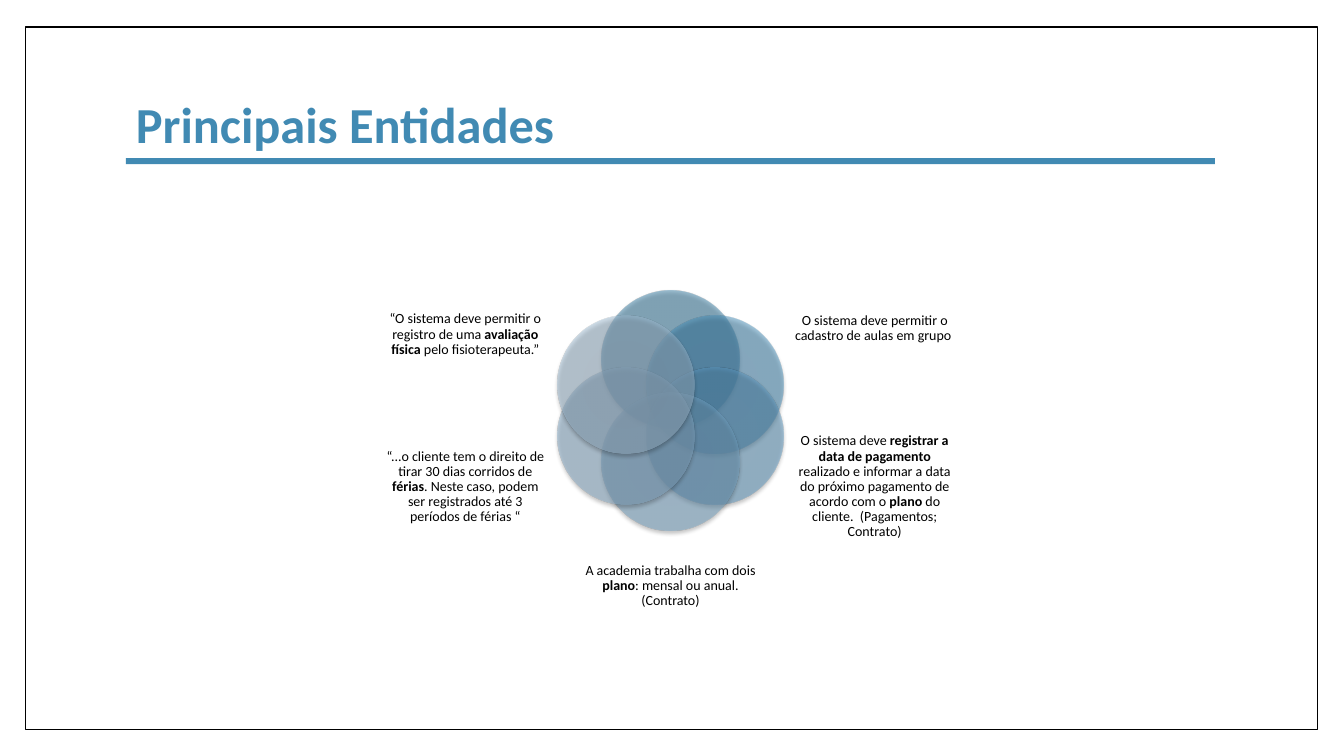
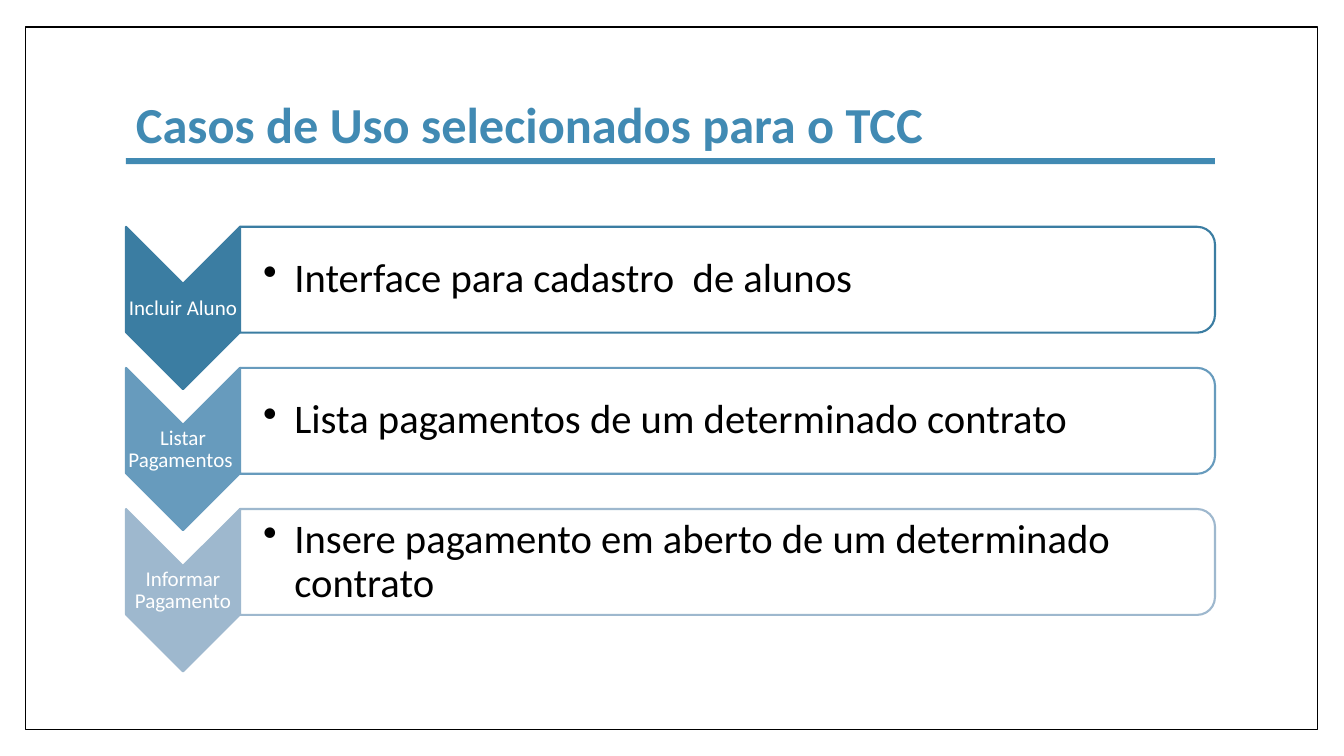
from dataclasses import dataclass
from math import cos, radians, sin

from pptx import Presentation
from pptx.dml.color import RGBColor
from pptx.enum.shapes import MSO_SHAPE as Preset
from pptx.enum.text import MSO_ANCHOR as Anchor, PP_ALIGN as Align
from pptx.oxml import parse_xml
from pptx.oxml.ns import nsdecls, qn
from pptx.util import Inches, Pt


@dataclass(frozen=True)
class Theme:
    """Colours, font and type sizes shared by all slides."""
    font: str = "Calibri"
    accent: str = "418AB3"
    ink: str = "000000"
    paper: str = "FFFFFF"
    title_size: int = 36
    note_size: int = 10
    step_size: int = 15
    detail_size: int = 29


THEME = Theme()
PETAL_COLOURS = [
    ("3B7DA2", "387EA5", "2C749D"),
    ("468AB4", "438BB7", "3680AD"),
    ("5C95BB", "5996BD", "4B89B2"),
    ("73A0C0", "71A1C2", "6193B6"),
    ("89ACC7", "87ACC8", "779DBA"),
    ("9EB8CE", "9DB9CF", "8BA8BF"),
]
NOTES = [
    ((7.87, 2.75, 1.61, 1.02), "O sistema deve permitir o cadastro de aulas em grupo "),
    ((7.87, 4.26, 1.61, 1.14),
     "O sistema deve *registrar a data de pagamento *realizado e informar a data do "
     "próximo pagamento de acordo com o *plano* do cliente.  (Pagamentos; Contrato)"),
    ((5.8, 5.35, 1.7, 0.93),
     "A academia trabalha com dois *plano*: mensal ou anual. (Contrato)"),
    ((3.81, 4.26, 1.61, 1.14),
     "“...o cliente tem o direito de tirar 30 dias corridos de *férias*. Neste caso, "
     "podem ser registrados até 3 períodos de férias “"),
    ((3.81, 2.75, 1.61, 1.14),
     "“O sistema deve permitir o registro de uma *avaliação física* pelo fisioterapeuta.”"),
]
USE_CASES = [
    ("Incluir Aluno", "Interface para cadastro  de alunos", "3B7DA2"),
    ("Listar Pagamentos ", "Lista pagamentos de um determinado contrato", "679BBD"),
    ("Informar Pagamento", "Insere pagamento em aberto de um determinado contrato", "9EB8CE"),
]


def add_box(page, preset, bounds, fill=None, line=None, width=1):
    """Add a preset shape without shadow, with optional fill and outline."""
    box = page.shapes.add_shape(preset, *map(Inches, bounds))
    box.shadow.inherit = False
    if fill:
        box.fill.solid()
        box.fill.fore_color.rgb = RGBColor.from_string(fill)
    else:
        box.fill.background()
    if line:
        box.line.color.rgb = RGBColor.from_string(line)
        box.line.width = Pt(width)
    else:
        box.line.fill.background()
    return box


def add_turned_box(page, preset, bounds, fill, line):
    """Add a shape turned a quarter clockwise that covers the given bounds."""
    left, top, width, height = bounds
    shift = (width - height) / 2
    box = add_box(page, preset, (left + shift, top - shift, height, width), fill, line, 1.5)
    box.rotation = 90
    return box


def set_text(box, text, size, colour, align=Align.CENTER, spacing=0.9,
             bold=False, insets=(0, 0, 0, 0), bullet_indent=None):
    """Write one paragraph in a box; parts between asterisks are bold."""
    frame = box.text_frame
    frame.word_wrap = True
    frame.vertical_anchor = Anchor.MIDDLE
    (frame.margin_left, frame.margin_top,
     frame.margin_right, frame.margin_bottom) = map(Inches, insets)
    para = frame.paragraphs[0]
    para.alignment = align
    para.line_spacing = spacing
    if bullet_indent:
        properties = para._p.get_or_add_pPr()
        properties.set("marL", str(Inches(bullet_indent)))
        properties.set("indent", str(-Inches(bullet_indent)))
        properties.append(parse_xml(f'<a:buChar {nsdecls("a")} char="•"/>'))
    font = para.font
    font.name, font.size, font.bold = THEME.font, Pt(size), bold
    font.color.rgb = RGBColor.from_string(colour)
    for index, part in enumerate(text.split("*")):
        span = para.add_run()
        span.text = part
        if index % 2:
            span.font.bold = True


def add_label(page, bounds, text, size, colour, **options):
    """Add a text box with one paragraph."""
    box = page.shapes.add_textbox(*map(Inches, bounds))
    set_text(box, text, size, colour, **options)


def add_page(deck, title):
    """Add a blank slide with the frame, the title and its rule."""
    page = deck.slides.add_slide(deck.slide_layouts[6])
    add_box(page, Preset.RECTANGLE, (0.25, 0.27, 12.82, 6.97), THEME.paper, THEME.ink)
    heading = add_box(page, Preset.RECTANGLE, (1.25, 0.67, 10.8, 1.04), THEME.paper)
    set_text(heading, title, THEME.title_size, THEME.accent, align=Align.LEFT,
             spacing=1.1, bold=True, insets=(0.1, 0.05, 0.1, 0.05))
    add_box(page, Preset.RECTANGLE, (1.25, 1.57, 10.8, 0.06), THEME.accent)
    return page


def add_petal(page, bounds, colours):
    """Add a translucent circle with a radial gradient and a soft shadow."""
    petal = add_box(page, Preset.OVAL, bounds)
    stops = "".join(
        f'<a:gs pos="{place * 1000}"><a:srgbClr val="{colour}">'
        '<a:alpha val="50000"/></a:srgbClr></a:gs>'
        for place, colour in zip((0, 90, 100), colours))
    gradient = parse_xml(
        f'<a:gradFill {nsdecls("a")} rotWithShape="1"><a:gsLst>{stops}</a:gsLst>'
        '<a:path path="circle"><a:fillToRect l="100000" t="100000" r="100000" b="100000"/>'
        '</a:path></a:gradFill>')
    properties = petal._element.spPr
    properties.replace(properties.find(qn("a:noFill")), gradient)
    properties.find(qn("a:effectLst")).append(parse_xml(
        f'<a:outerShdw {nsdecls("a")} blurRad="{Pt(3)}" dist="{Pt(2)}" dir="5400000" '
        f'rotWithShape="0"><a:srgbClr val="{THEME.ink}"><a:alpha val="45000"/>'
        '</a:srgbClr></a:outerShdw>'))


def add_flower(page, centre_x, centre_y, orbit, diameter):
    """Place the petals clockwise from the top at equal angles."""
    for index, colours in enumerate(PETAL_COLOURS):
        angle = radians(index * 360 / len(PETAL_COLOURS))
        left = centre_x + orbit * sin(angle) - diameter / 2
        top = centre_y - orbit * cos(angle) - diameter / 2
        add_petal(page, (left, top, diameter, diameter), colours)


def add_use_case(page, top, name, detail, colour):
    """Add one chevron step with its detail panel."""
    add_turned_box(page, Preset.CHEVRON, (1.25, top, 1.13, 1.61), colour, colour)
    add_label(page, (1.25, top + 0.57, 1.13, 0.48), name, THEME.step_size, THEME.paper,
              insets=(0.01,) * 4)
    add_turned_box(page, Preset.ROUND_2_SAME_RECTANGLE, (2.38, top, 9.67, 1.05),
                   THEME.paper, colour)
    add_label(page, (2.38, top + 0.05, 9.62, 0.95), detail, THEME.detail_size, THEME.ink,
              align=Align.LEFT, insets=(0.23, 0.02, 0.02, 0.02), bullet_indent=0.31)


def main():
    """Build and save the presentation."""
    deck = Presentation()
    deck.slide_width, deck.slide_height = Inches(13.33), Inches(7.5)

    page = add_page(deck, "Principais Entidades")
    add_flower(page, centre_x=6.65, centre_y=4.07, orbit=0.51, diameter=1.36)
    for bounds, text in NOTES:
        add_label(page, bounds, text, THEME.note_size, THEME.ink)

    page = add_page(deck, "Casos de Uso selecionados para o TCC")
    for index, use_case in enumerate(USE_CASES):
        add_use_case(page, 2.25 + 1.4 * index, *use_case)

    deck.save("out.pptx")


if __name__ == "__main__":
    main()
